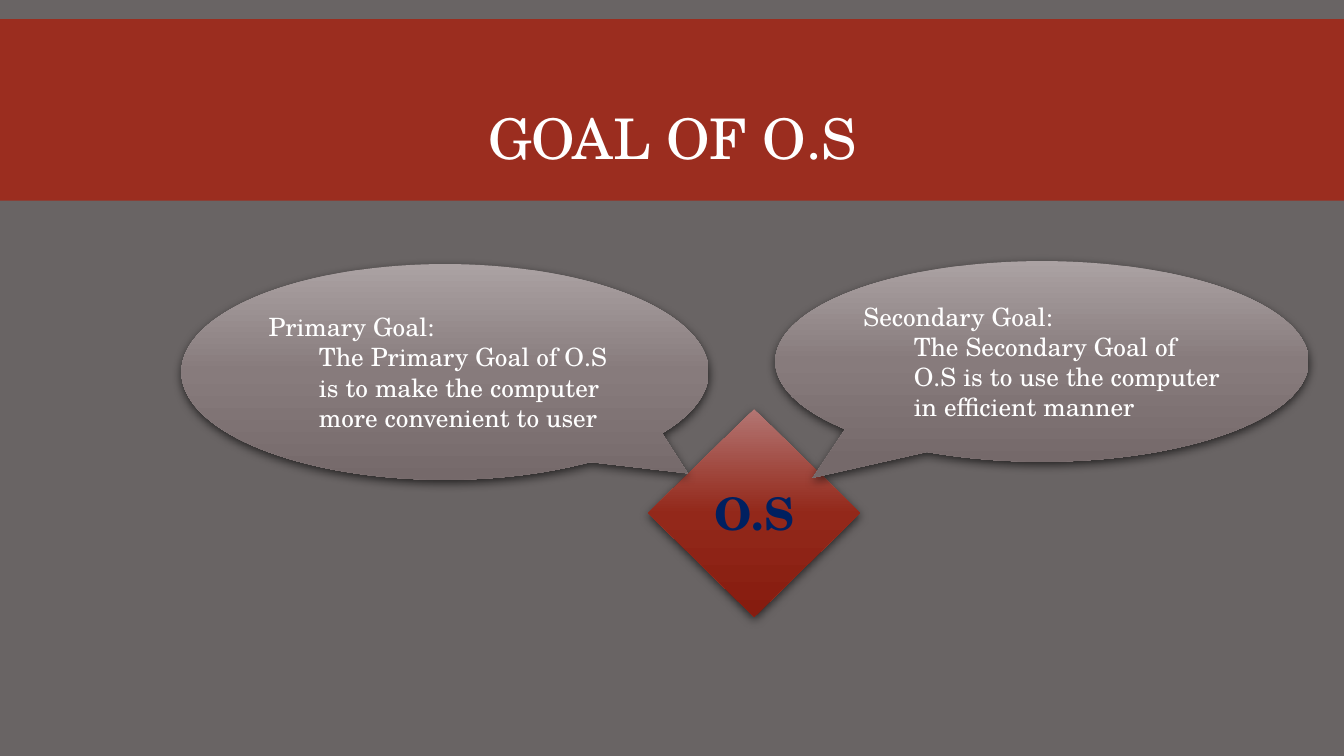
from pptx import Presentation, oxml
from pptx.dml.color import RGBColor
from pptx.enum import shapes, text
from pptx.oxml import ns
from pptx.util import Inches, Pt

GREY = RGBColor(0x69, 0x64, 0x64)
RED = RGBColor(0x9B, 0x2D, 0x1F)
WHITE = RGBColor(0xFF, 0xFF, 0xFF)
NAVY = RGBColor(0x00, 0x20, 0x60)
REDS = [RGBColor(0xB3, 0x76, 0x73), RGBColor(0x93, 0x28, 0x1A), RGBColor(0x86, 0x1C, 0x0F)]
MAUVES = [RGBColor(0xAB, 0xA2, 0xA3), RGBColor(0x87, 0x7B, 0x7C), RGBColor(0x75, 0x69, 0x6A)]
FONT = "TeX Gyre Schola"
KIND = shapes.MSO_SHAPE
LEFT, MID = text.PP_ALIGN.LEFT, text.PP_ALIGN.CENTER
NS = ns.nsdecls("a")


def write(par, words, align, size, color, bold=False):
    par.alignment = align
    run = par.add_run()
    run.text = words
    run.font.color.rgb = color
    for key, val in {"name": FONT, "size": Pt(size), "bold": bold}.items():
        setattr(run.font, key, val)


def glossy(kind, box, tones):
    """Add a shape with a three-tone vertical gradient and a soft shadow."""
    shape = slide.shapes.add_shape(kind, *map(Inches, box))
    stops = "".join(f'<a:gs pos="{i * 50000}"><a:srgbClr val="{tone}"/></a:gs>'
                    for i, tone in enumerate(tones))
    props = shape.element.spPr
    props.append(oxml.parse_xml(
        f'<a:gradFill {NS} rotWithShape="1"><a:gsLst>{stops}</a:gsLst>'
        '<a:lin ang="5400000" scaled="0"/></a:gradFill>'))
    shape.line.fill.background()
    shape.shadow.inherit = False
    props.find(ns.qn("a:effectLst")).append(oxml.parse_xml(
        f'<a:outerShdw {NS} blurRad="{Pt(7)}" dist="{Pt(2.2)}" dir="5400000" '
        'algn="ctr" rotWithShape="0"><a:srgbClr val="000000">'
        '<a:alpha val="63000"/></a:srgbClr></a:outerShdw>'))
    shape.text_frame.word_wrap = True
    shape.text_frame.vertical_anchor = text.MSO_ANCHOR.MIDDLE
    return shape


# Slide and background
deck = Presentation()
deck.slide_width, deck.slide_height = Inches(13.33), Inches(7.5)
slide = deck.slides.add_slide(deck.slide_layouts[6])
slide.background.fill.solid()
slide.background.fill.fore_color.rgb = GREY

# Title band
band = slide.shapes.add_shape(KIND.RECTANGLE, 0, Inches(0.19), deck.slide_width, Inches(1.8))
band.shadow.inherit = False
band.fill.solid()
band.fill.fore_color.rgb = RED
band.line.fill.background()

# Title
title = slide.shapes.add_textbox(*map(Inches, (1.32, 0.31, 10.7, 1.65)))
frame = title.text_frame
for key, val in {"word_wrap": True, "vertical_anchor": text.MSO_ANCHOR.BOTTOM,
                 "margin_bottom": Inches(0.26)}.items():
    setattr(frame, key, val)
frame.paragraphs[0].line_spacing = 0.85
write(frame.paragraphs[0], "GOAL OF O.S", MID, 40, WHITE)

# Central diamond
core = glossy(KIND.DIAMOND, (6.43, 4.06, 2.1, 2.06), REDS)
write(core.text_frame.paragraphs[0], "O.S", MID, 32, NAVY, True)

# Goal callouts
goals = [
    ("Secondary Goal:", "The Secondary Goal of O.S is to use the computer in efficient manner",
     (7.69, 2.59, 5.29, 1.99), (-0.43, 0.58)),
    ("Primary Goal:", "The Primary Goal of O.S is to make the computer more convenient to user",
     (1.8, 2.62, 5.23, 2.14), (0.46, 0.47)),
]
for head, body, box, tip in goals:
    call = glossy(KIND.OVAL_CALLOUT, box, MAUVES)
    for i, val in enumerate(tip):
        call.adjustments[i] = val
    frame = call.text_frame
    write(frame.paragraphs[0], head, LEFT, 18, WHITE)
    par = frame.add_paragraph()
    par.level = 1
    write(par, body, LEFT, 18, WHITE)
    props = par._p.get_or_add_pPr()
    props.set("marL", str(Inches(0.5)))
    props.set("indent", "0")

deck.save("out.pptx")
